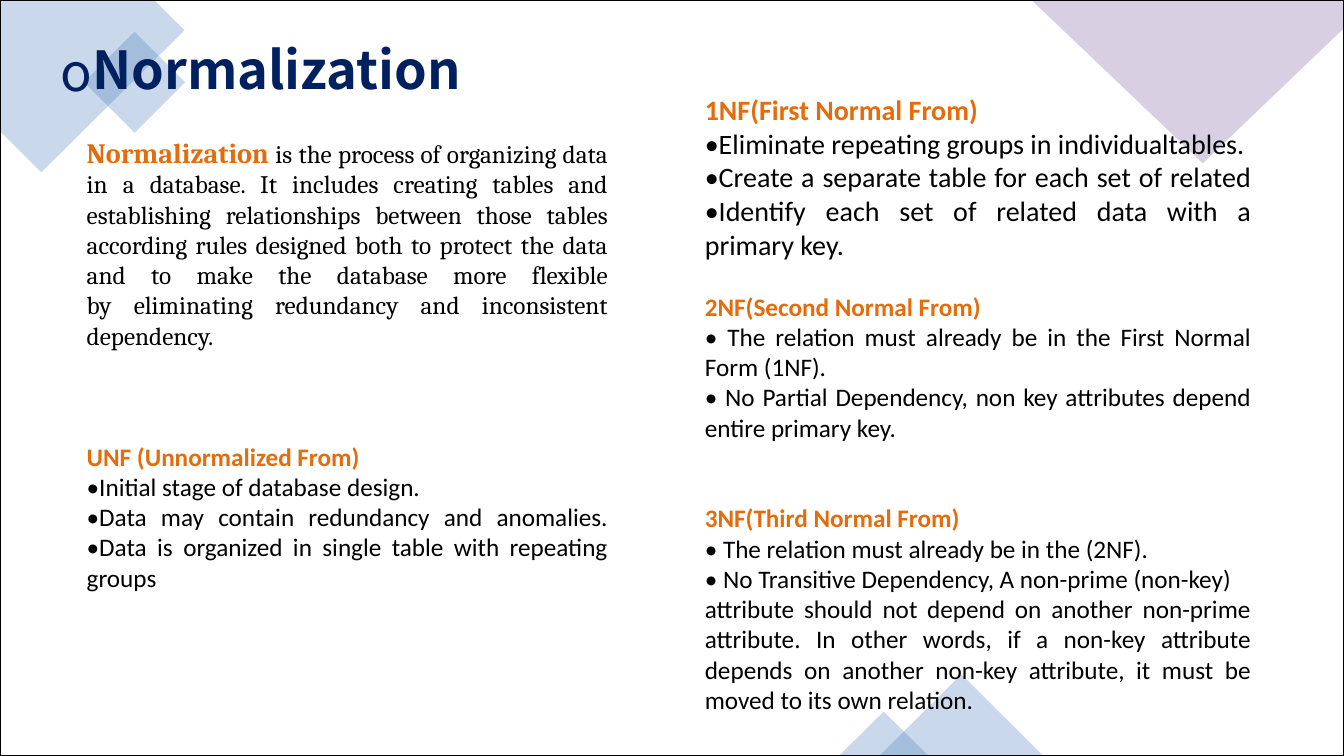
from collections import namedtuple

from lxml.etree import SubElement
from pptx import Presentation
from pptx.dml.color import RGBColor
from pptx.enum.shapes import MSO_SHAPE as Preset
from pptx.enum.text import MSO_ANCHOR as Anchor, MSO_AUTO_SIZE as AutoSize, PP_ALIGN as Align
from pptx.oxml.ns import qn
from pptx.util import Inches, Pt

Box = namedtuple("Box", "column row columns rows")
COLUMNS, ROWS = 1333, 750
CELL = Inches(13.33) / COLUMNS
SLIDE = Box(0, 0, COLUMNS, ROWS)
NAVY, ORANGE, BLACK = "002060", "E46C0A", "000000"
BLUE, PURPLE = "4F81BD", "8064A2"
BLANK_LINE = 21.6
TITLE_FONT = "Noto Sans CJK KR"

Block = namedtuple("Block", "heading size gap points")
UNNORMALIZED = Block("UNF (Unnormalized From)", 18, 3, [
    "•Initial stage of database design.",
    "•Data may contain redundancy and anomalies.\n"
    "•Data is organized in single table with repeating groups"])
NORMAL_FORMS = [
    Block("1NF(First Normal From)", 20, 0, [
        "•Eliminate repeating groups in individualtables.",
        "•Create a separate table for each set of related\n"
        "•Identify each set of related data with a primary key."]),
    Block("2NF(Second Normal From)", 18, 1, [
        "• The relation must already be in the First Normal Form (1NF).",
        "• No Partial Dependency, non key attributes depend entire primary key."]),
    Block("3NF(Third Normal From)", 18, 2, [
        "• The relation must already be in the (2NF).",
        "• No Transitive Dependency, A non-prime (non-key)",
        "attribute should not depend on another non-prime attribute. In other words, "
        "if a non-key attribute depends on another non-key attribute, it must be "
        "moved to its own relation."]),
]
DEFINITION = (
    " is the process of organizing data in a database. It includes creating tables and "
    "establishing relationships between those tables according rules designed both to "
    "protect the data and to make the database more flexible\n"
    "by eliminating redundancy and inconsistent dependency.")


def color(hex_value):
    """Turn a hex string into a colour."""
    return RGBColor.from_string(hex_value)


def cells(box):
    """Turn a grid box into slide lengths."""
    return [round(count * CELL) for count in box]


def tint(ornament, hex_value):
    """Give an ornament a see-through fill without outline or shadow."""
    ornament.shadow.inherit = False
    ornament.line.fill.background()
    ornament.fill.solid()
    ornament.fill.fore_color.rgb = color(hex_value)
    for fill_color in ornament.element.spPr.iter(qn("a:srgbClr")):
        SubElement(fill_color, qn("a:alpha"), val="30000")


def add_corner(slide, box, outline, hex_value):
    """Draw a cut-off square whose outline is measured from its box."""
    points = [(box.column + x, box.row + y) for x, y in outline]
    builder = slide.shapes.build_freeform(*points[0], scale=CELL)
    builder.add_line_segments(points[1:], close=True)
    tint(builder.convert_to_shape(), hex_value)


def add_ornament(slide, preset, box, rotation=0):
    """Place a blue preset ornament in its box."""
    ornament = slide.shapes.add_shape(preset, *cells(box))
    ornament.rotation = rotation
    tint(ornament, BLUE)


def add_ornaments(slide, box):
    """Decorate the corners and the lower edge of the box."""
    right, bottom = box.column + box.columns, box.row + box.rows
    add_corner(slide, Box(box.column, box.row, 183, 171),
               [(153, 0), (0, 0), (0, 130), (41, 171), (183, 30)], BLUE)
    add_corner(slide, Box(right - 310, box.row, 310, 162),
               [(310, 0), (0, 0), (170, 162), (310, 28)], PURPLE)
    add_ornament(slide, Preset.RECTANGLE, Box(box.column + 98, box.row + 46, 71, 71), 315)
    for column, columns, rows in [(872, 163, 81), (832, 89, 44)]:
        add_ornament(slide, Preset.ISOSCELES_TRIANGLE,
                     Box(box.column + column, bottom - rows, columns, rows))


def place(holder, box, anchor):
    """Move a placeholder into its box, in front of the ornaments."""
    holder.left, holder.top, holder.width, holder.height = cells(box)
    holder.element.getparent().append(holder.element)
    frame = holder.text_frame
    frame.word_wrap = True
    frame.auto_size = AutoSize.NONE
    frame.vertical_anchor = anchor
    return frame


def set_bullet(paragraph, char=None):
    """Set a paragraph flush left, with the given bullet or none."""
    properties = paragraph._p.get_or_add_pPr()
    properties.set("marL", "0")
    properties.set("indent", "0")
    if char:
        SubElement(properties, qn("a:buFont"), typeface=TITLE_FONT)
        SubElement(properties, qn("a:buChar"), char=char)
    else:
        SubElement(properties, qn("a:buNone"))


def add_text(paragraph, text, size, font, hex_value, bold=False):
    """Add formatted runs, with a line break at each newline."""
    for index, line in enumerate(text.split("\n")):
        if index:
            paragraph.add_line_break()
        run = paragraph.add_run()
        run.text = line
        run.font.size, run.font.name, run.font.bold = Pt(size), font, bold
        run.font.color.rgb = color(hex_value)


def next_paragraph(frame, gap=0):
    """Start a justified paragraph after a gap counted in lines."""
    first = frame.paragraphs[0]
    paragraph = frame.add_paragraph() if first.runs else first
    paragraph.alignment = Align.JUSTIFY
    paragraph.space_before = Pt(gap * BLANK_LINE)
    set_bullet(paragraph)
    return paragraph


def add_block(frame, block):
    """Write a heading and its points."""
    add_text(next_paragraph(frame, block.gap), block.heading, block.size, "Calibri", ORANGE, True)
    for point in block.points:
        add_text(next_paragraph(frame), point, block.size, "Calibri", BLACK)


def fill_title(holder, box):
    """Write the slide title."""
    heading = place(holder, box, Anchor.MIDDLE).paragraphs[0]
    heading.alignment = Align.LEFT
    heading.space_after = Pt(6)
    set_bullet(heading, "o")
    add_text(heading, "Normalization", 37.4, TITLE_FONT, NAVY, True)


def fill_definition(holder, box):
    """Write the definition and the unnormalized form."""
    frame = place(holder, box, Anchor.TOP)
    definition = next_paragraph(frame)
    add_text(definition, "Normalization", 20, "Cambria", ORANGE, True)
    add_text(definition, DEFINITION, 18, "Cambria", BLACK)
    add_block(frame, UNNORMALIZED)


def fill_normal_forms(holder, box):
    """Write the three normal forms."""
    frame = place(holder, box, Anchor.TOP)
    for block in NORMAL_FORMS:
        add_block(frame, block)


def add_border(slide, box):
    """Frame the box with a black line."""
    border = slide.shapes.add_shape(Preset.RECTANGLE, *cells(box))
    border.shadow.inherit = False
    border.fill.background()
    border.line.color.rgb = color(BLACK)
    border.line.width = Pt(2)


def main():
    """Build and save the presentation."""
    deck = Presentation()
    deck.slide_width, deck.slide_height = cells(SLIDE)[2:]
    slide = deck.slides.add_slide(deck.slide_layouts[3])
    title, definition, normal_forms = list(slide.placeholders)
    add_ornaments(slide, SLIDE)
    fill_title(title, Box(50, 31, 542, 74))
    fill_definition(definition, Box(76, 129, 537, 528))
    fill_normal_forms(normal_forms, Box(689, 87, 562, 633))
    add_border(slide, SLIDE)
    deck.save("out.pptx")


if __name__ == "__main__":
    main()
